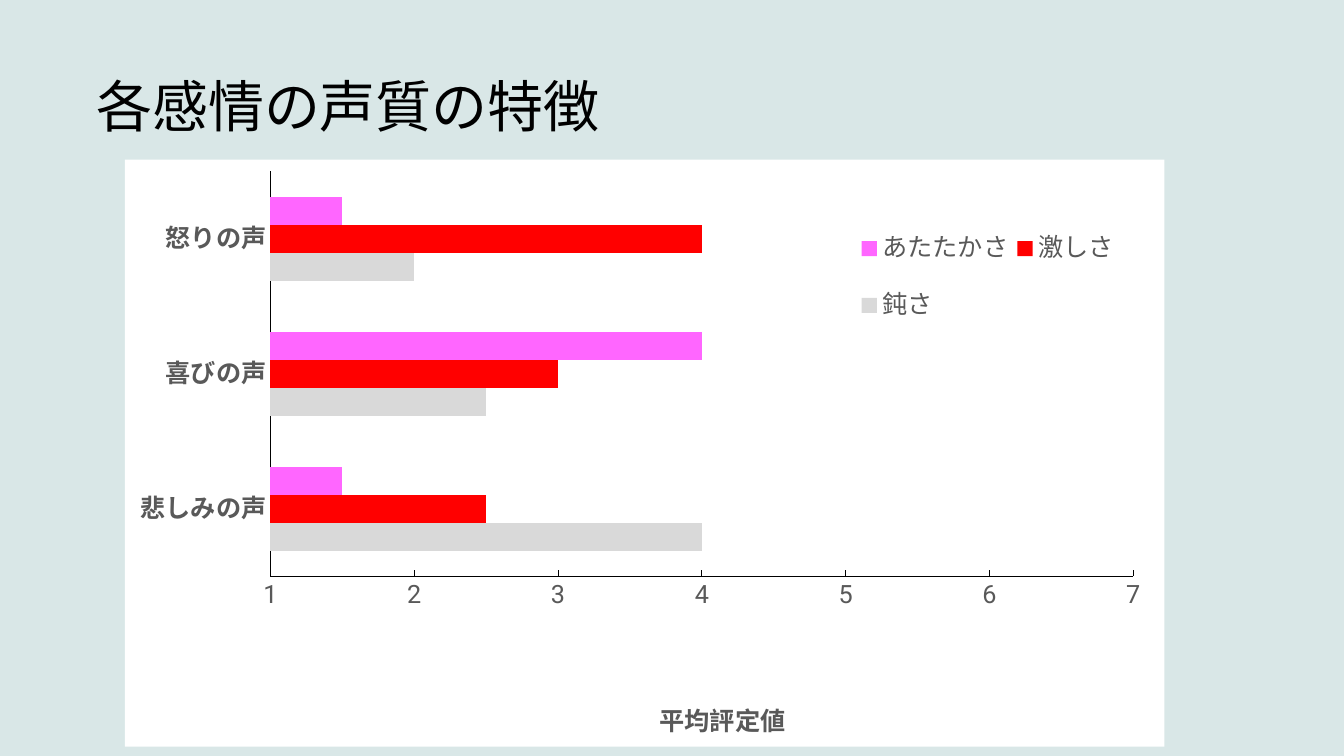
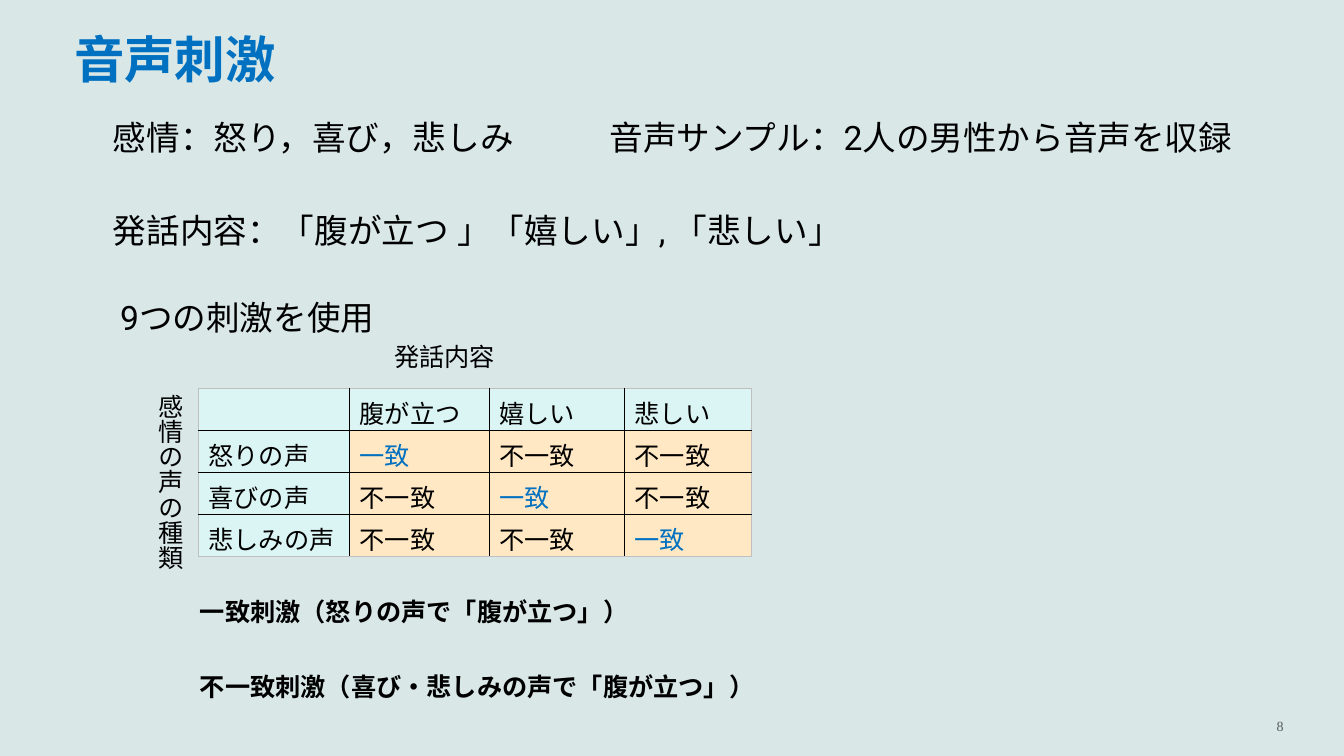
from dataclasses import dataclass

from lxml import etree
from pptx import Presentation
from pptx.chart.data import CategoryChartData
from pptx.dml.color import RGBColor
from pptx.enum.chart import XL_CHART_TYPE as ChartType
from pptx.enum.chart import XL_LEGEND_POSITION as LegendPosition
from pptx.enum.chart import XL_TICK_MARK as TickMark
from pptx.enum.text import MSO_ANCHOR as Anchor
from pptx.enum.text import MSO_AUTO_SIZE as AutoSize
from pptx.enum.text import PP_ALIGN as Align
from pptx.oxml.ns import qn
from pptx.slide import Slide
from pptx.text.text import Font, TextFrame
from pptx.util import Emu, Pt

EMU_PER_PX = 9525
BODY_FONT = "Roboto"
TITLE_FONT = "Noto Sans CJK JP"
NUMBER_FONT = "Times New Roman"
COLORS = {
    "background": "D9E7E7",
    "black": "000000",
    "blue": "0070C0",
    "gray": "595959",
    "page": "575C5C",
    "white": "FFFFFF",
    "header": "DBF5F4",
    "cell": "FFE8C3",
    "edge": "BFBFBF",
    "dull": "D9D9D9",
    "intense": "FF0000",
    "warm": "FF66FF",
}


@dataclass(frozen=True)
class Box:
    left: int
    top: int
    width: int
    height: int

    def emu(self) -> tuple[Emu, Emu, Emu, Emu]:
        return px(self.left), px(self.top), px(self.width), px(self.height)


@dataclass(frozen=True)
class Style:
    size: int
    color: str = "black"
    bold: bool = False
    name: str = BODY_FONT


@dataclass(frozen=True)
class Label:
    text: str
    box: Box
    style: Style
    vertical: bool = False
    align: Align = Align.LEFT
    anchor: Anchor = Anchor.TOP


@dataclass(frozen=True)
class Series:
    name: str
    values: tuple[float, ...]
    color: str


BODY = Style(24)
SMALL = Style(18)
STRONG = Style(18, bold=True)
CHART_TEXT = Style(18, "gray")
CHART_STRONG = Style(18, "gray", bold=True)

VOICES = ("怒りの声", "喜びの声", "悲しみの声")
PHRASES = ("腹が立つ", "嬉しい", "悲しい")
COLUMN_WIDTHS = (144, 133, 129, 121)
ROW_HEIGHT = 40

VOICE_SERIES = (
    Series("鈍さ", (4, 2.5, 2), "dull"),
    Series("激しさ", (2.5, 3, 4), "intense"),
    Series("あたたかさ", (1.5, 4, 1.5), "warm"),
)

STIMULUS_LABELS = (
    Label("感情：怒り，喜び，悲しみ", Box(98, 107, 407, 48), BODY),
    Label("音声サンプル：2人の男性から音声を収録", Box(571, 107, 620, 48), BODY),
    Label("発話内容：「腹が立つ 」「嬉しい」, 「悲しい」", Box(98, 195, 844, 48), BODY),
    Label("9つの刺激を使用", Box(105, 278, 264, 48), BODY),
    Label("発話内容", Box(366, 320, 252, 38), SMALL),
    Label("感情の声の種類", Box(133, 366, 48, 253), SMALL, vertical=True),
    Label("一致刺激（怒りの声で「腹が立つ」）", Box(181, 563, 443, 38), STRONG),
    Label("不一致刺激（喜び・悲しみの声で「腹が立つ」）", Box(181, 635, 556, 38), STRONG),
    Label("8", Box(1048, 667, 184, 48), Style(10, "page", name=NUMBER_FONT),
          align=Align.RIGHT, anchor=Anchor.MIDDLE),
)


def px(length: int) -> Emu:
    return Emu(length * EMU_PER_PX)


def rgb(key: str) -> RGBColor:
    return RGBColor.from_string(COLORS[key])


def apply_style(font: Font, style: Style) -> None:
    font.size = Pt(style.size)
    font.bold = style.bold
    font.color.rgb = rgb(style.color)
    font.name = style.name
    etree.SubElement(font._element, qn("a:ea"), typeface=style.name)


def write_text(frame: TextFrame, text: str, style: Style, align: Align = Align.LEFT) -> None:
    frame.text = text
    for paragraph in frame.paragraphs:
        paragraph.alignment = align
        for run in paragraph.runs:
            apply_style(run.font, style)


def add_titled_slide(presentation: Presentation, title: str, box: Box, style: Style) -> Slide:
    slide = presentation.slides.add_slide(presentation.slide_layouts[5])
    shape = slide.shapes.title
    shape.left, shape.top, shape.width, shape.height = box.emu()
    frame = shape.text_frame
    frame.auto_size = AutoSize.NONE
    frame.vertical_anchor = Anchor.BOTTOM
    write_text(frame, title, style)
    return slide


def add_label(slide: Slide, label: Label) -> None:
    frame = slide.shapes.add_textbox(*label.box.emu()).text_frame
    frame.word_wrap = True
    frame.vertical_anchor = label.anchor
    if label.vertical:
        frame._txBody.bodyPr.set("vert", "eaVert")
    write_text(frame, label.text, label.style, label.align)


def set_layout(parent: etree._Element, index: int, inner: bool = False, **fractions: float) -> None:
    existing = parent.find(qn("c:layout"))
    if existing is not None:
        parent.remove(existing)
    layout = parent.makeelement(qn("c:layout"), {})
    parent.insert(index, layout)
    manual = etree.SubElement(layout, qn("c:manualLayout"))
    if inner:
        etree.SubElement(manual, qn("c:layoutTarget"), val="inner")
    for key in ("x", "y"):
        etree.SubElement(manual, qn(f"c:{key}Mode"), val="edge")
    for key, fraction in fractions.items():
        etree.SubElement(manual, qn(f"c:{key}"), val=str(fraction))


def add_voice_chart(slide: Slide, box: Box) -> None:
    data = CategoryChartData()
    data.categories = VOICES[::-1]
    for series in VOICE_SERIES:
        data.add_series(series.name, series.values)
    chart = slide.shapes.add_chart(ChartType.BAR_CLUSTERED, *box.emu(), data).chart
    chart.has_title = False
    apply_style(chart.font, Style(10))

    area = chart._chartSpace.makeelement(qn("c:spPr"), {})
    chart._chartSpace.chart.addnext(area)
    fill = etree.SubElement(area, qn("a:solidFill"))
    etree.SubElement(fill, qn("a:srgbClr"), val=COLORS["white"])
    etree.SubElement(etree.SubElement(area, qn("a:ln")), qn("a:noFill"))

    plot = chart.plots[0]
    plot.gap_width = 182
    plot.overlap = 0
    plot.vary_by_categories = False
    for drawn, series in zip(plot.series, VOICE_SERIES):
        drawn.format.fill.solid()
        drawn.format.fill.fore_color.rgb = rgb(series.color)

    axes = (
        (chart.category_axis, CHART_STRONG, TickMark.NONE),
        (chart.value_axis, CHART_TEXT, TickMark.INSIDE),
    )
    for axis, style, tick in axes:
        axis.has_major_gridlines = False
        axis.major_tick_mark = tick
        axis.minor_tick_mark = TickMark.NONE
        axis.format.line.color.rgb = rgb("black")
        axis.format.line.width = Pt(0.75)
        apply_style(axis.tick_labels.font, style)

    ratings = chart.value_axis
    ratings.minimum_scale, ratings.maximum_scale, ratings.major_unit = 1, 7, 1
    write_text(ratings.axis_title.text_frame, "平均評定値", CHART_STRONG, Align.CENTER)

    chart.has_legend = True
    chart.legend.position = LegendPosition.BOTTOM
    chart.legend.include_in_layout = False
    apply_style(chart.legend.font, CHART_TEXT)

    set_layout(chart._chartSpace.chart.plotArea, 0, inner=True, x=0.14, y=0.02, w=0.83, h=0.69)
    set_layout(chart.legend._element, 1, x=0.7, y=0.08, w=0.26, h=0.24)
    set_layout(ratings.axis_title._element, 1, x=0.51, y=0.92)


def add_border(cell, side: str, color: str) -> None:
    properties = cell._tc.get_or_add_tcPr()
    line = etree.SubElement(properties, qn(f"a:{side}"), w=str(Pt(1)))
    fill = etree.SubElement(line, qn("a:solidFill"))
    etree.SubElement(fill, qn("a:srgbClr"), val=COLORS[color])


def add_match_table(slide: Slide, left: int, top: int) -> None:
    rows = [("", *PHRASES)]
    for voice_index, voice in enumerate(VOICES):
        matches = ("一致" if index == voice_index else "不一致" for index in range(len(PHRASES)))
        rows.append((voice, *matches))
    box = Box(left, top, sum(COLUMN_WIDTHS), ROW_HEIGHT * len(rows))
    table = slide.shapes.add_table(len(rows), len(COLUMN_WIDTHS), *box.emu()).table
    table.first_row = table.horz_banding = False
    for column, width in zip(table.columns, COLUMN_WIDTHS):
        column.width = px(width)
    last_row, last_column = len(rows) - 1, len(COLUMN_WIDTHS) - 1
    for row, texts in enumerate(rows):
        table.rows[row].height = px(ROW_HEIGHT)
        for column, text in enumerate(texts):
            cell = table.cell(row, column)
            cell.margin_top, cell.margin_bottom = px(11), px(0)
            outer_sides = {
                "lnL": column == 0,
                "lnR": column == last_column,
                "lnT": row == 0,
                "lnB": row == last_row,
            }
            for side, is_outer in outer_sides.items():
                add_border(cell, side, "edge" if is_outer else "black")
            cell.fill.solid()
            cell.fill.fore_color.rgb = rgb("header" if row == 0 or column == 0 else "cell")
            write_text(cell.text_frame, text, Style(18, "blue" if text == "一致" else "black"))


def main() -> None:
    presentation = Presentation()
    presentation.slide_width, presentation.slide_height = px(1280), px(720)
    background = presentation.slide_master.background.fill
    background.solid()
    background.fore_color.rgb = rgb("background")

    features = add_titled_slide(presentation, "各感情の声質の特徴", Box(82, 20, 1072, 117),
                                Style(40, name=TITLE_FONT))
    add_voice_chart(features, Box(119, 152, 990, 559))

    stimuli = add_titled_slide(presentation, "音声刺激", Box(61, 5, 787, 84),
                               Style(36, "blue", bold=True, name=TITLE_FONT))
    add_match_table(stimuli, 189, 370)
    for label in STIMULUS_LABELS:
        add_label(stimuli, label)

    presentation.save("out.pptx")


if __name__ == "__main__":
    main()
